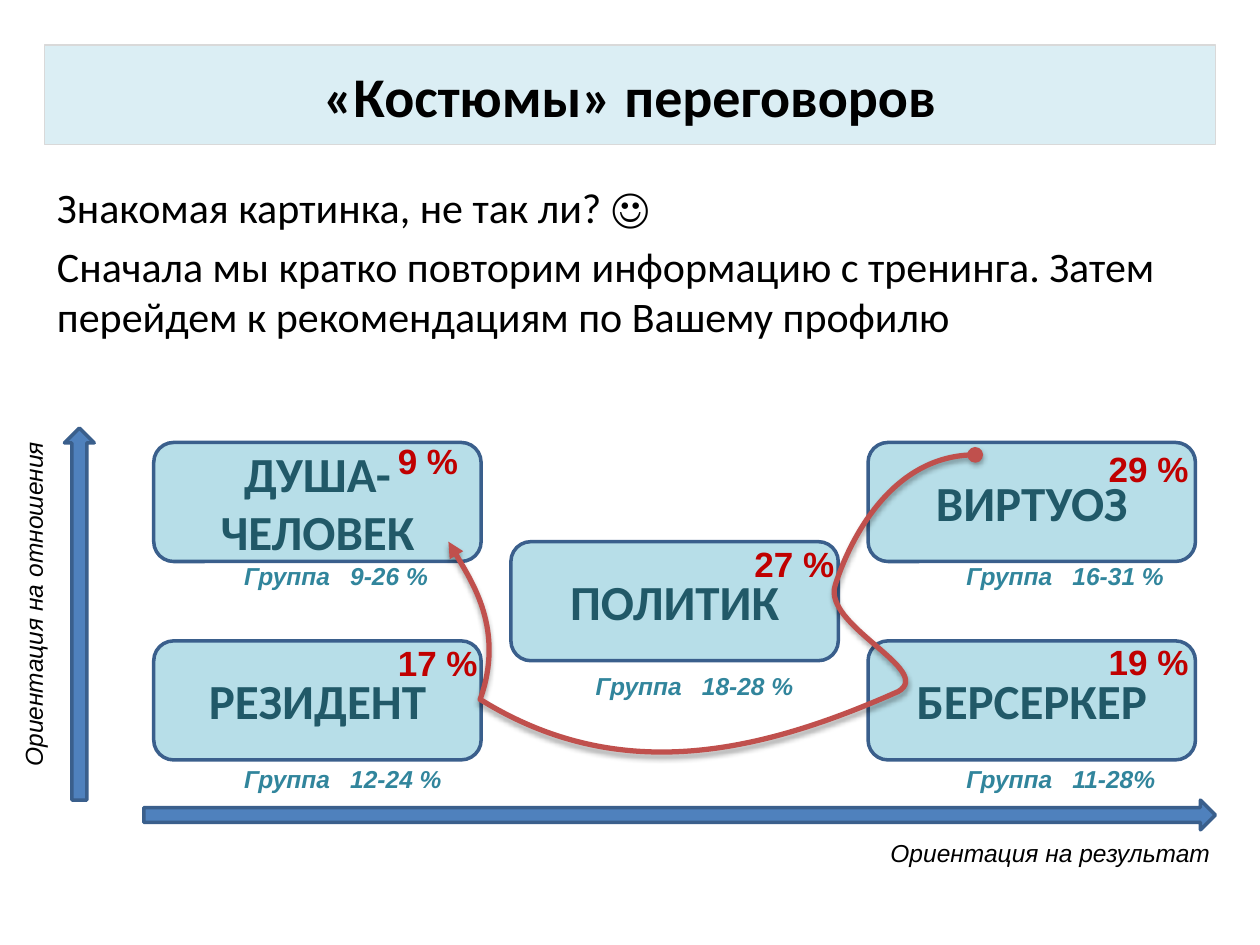
from lxml import etree
from pptx import Presentation
from pptx import util as u
from pptx.dml.color import RGBColor
from pptx.enum import shapes, text
from pptx.oxml import ns

BLACK = RGBColor(0x00, 0x00, 0x00)
PALE = RGBColor(0xDB, 0xEE, 0xF4)
GREY = RGBColor(0xD9, 0xD9, 0xD9)
LIGHT = RGBColor(0xB7, 0xDE, 0xE8)
BLUE = RGBColor(0x4F, 0x81, 0xBD)
OUTLINE = RGBColor(0x3A, 0x5F, 0x8C)
DEEP = RGBColor(0x21, 0x59, 0x68)
TEAL = RGBColor(0x31, 0x85, 0x9C)
CRIMSON = RGBColor(0xC0, 0x00, 0x00)
BRICK = RGBColor(0xC0, 0x50, 0x4D)


def add_xml(parent, tag, **attributes):
    return etree.SubElement(parent, ns.qn(tag), attributes)


class SlideBuilder:
    """Holds the fonts and the current page."""

    heading_font = "Calibri"
    label_font = "Arial"

    def __init__(self, page):
        self.page = page

    def style(self, para, font, size, color, bold=False, italic=False):
        para.font.name, para.font.size = font, u.Pt(size)
        para.font.color.rgb = color
        para.font.bold, para.font.italic = bold, italic

    def shape(self, kind, x, y, w, h, fill, line, weight):
        box = self.page.shapes.add_shape(kind, u.Cm(x), u.Cm(y), u.Cm(w), u.Cm(h))
        box.shadow.inherit = False
        box.fill.solid()
        box.fill.fore_color.rgb = fill
        box.line.color.rgb = line
        box.line.width = u.Pt(weight)
        return box

    def panel(self, kind, words, place, size, color, fill, line, weight):
        box = self.shape(kind, *place, fill, line, weight)
        box.text_frame.word_wrap = True
        box.text_frame.vertical_anchor = text.MSO_ANCHOR.MIDDLE
        para = box.text_frame.paragraphs[0]
        para.text = words
        para.alignment = text.PP_ALIGN.CENTER
        self.style(para, self.heading_font, size, color, bold=True)

    def body(self, lines, x, y, w, h, size):
        box = self.page.shapes.add_textbox(u.Cm(x), u.Cm(y), u.Cm(w), u.Cm(h))
        frame = box.text_frame
        frame.word_wrap = True
        frame.text = "\n".join(lines)
        for para in frame.paragraphs:
            para.space_before = u.Pt(size * 0.2)
            self.style(para, self.heading_font, size, BLACK)

    def label(self, words, x, y, w, h, size, color, bold=False, italic=False,
              rotation=0, tab=None):
        box = self.page.shapes.add_textbox(u.Cm(x), u.Cm(y), u.Cm(w), u.Cm(h))
        box.rotation = rotation
        frame = box.text_frame
        frame.word_wrap = False
        frame.auto_size = text.MSO_AUTO_SIZE.SHAPE_TO_FIT_TEXT
        para = frame.paragraphs[0]
        para.text = words
        self.style(para, self.label_font, size, color, bold, italic)
        if tab:
            stops = etree.Element(ns.qn("a:tabLst"))
            add_xml(stops, "a:tab", pos=str(u.Cm(tab)), algn="l")
            para.font  # paragraph properties exist from here on
            para._p.pPr.insert(0, stops)

    def curve(self, points, height, color, weight):
        """Draws joined cubic curves: a start, then three points for each."""
        corners = [(u.Cm(x), u.Cm(y)) for x, y in points]
        builder = self.page.shapes.build_freeform(*corners[0])
        builder.add_line_segments(corners[1:], close=False)
        line = builder.convert_to_shape()
        outline = line._element.find(".//" + ns.qn("a:path"))
        steps = outline.findall(ns.qn("a:lnTo"))
        for first in range(0, len(steps), 3):
            bend = add_xml(outline, "a:cubicBezTo")
            for step in steps[first:first + 3]:
                bend.append(step[0])
                outline.remove(step)
        # The curve is less tall than its control points
        line.height = u.Cm(height)
        outline.set("h", str(line.height))
        line.fill.background()
        line.line.color.rgb = color
        line.line.width = u.Pt(weight)
        stroke = line.line._get_or_add_ln()
        add_xml(stroke, "a:round")
        add_xml(stroke, "a:headEnd", type="oval")
        add_xml(stroke, "a:tailEnd", type="triangle")
        line.shadow.inherit = False
        effects = line._element.spPr.find(ns.qn("a:effectLst"))
        shadow = add_xml(effects, "a:outerShdw", blurRad=str(u.Pt(3.1)),
                         dist=str(u.Pt(1.8)), dir="5400000", rotWithShape="0")
        shade = add_xml(shadow, "a:srgbClr", val="000000")
        add_xml(shade, "a:alpha", val="35000")


def main():
    deck = Presentation()
    deck.slide_width, deck.slide_height = u.Cm(25.4), u.Cm(19.05)
    slide = SlideBuilder(deck.slides.add_slide(deck.slide_layouts[6]))
    kinds = shapes.MSO_SHAPE

    # Title and introduction
    slide.panel(kinds.RECTANGLE, "«Костюмы» переговоров", (0.9, 0.91, 23.6, 2),
                32, BLACK, PALE, GREY, 0.75)
    slide.body(["Знакомая картинка, не так ли? ☺",
                "Сначала мы кратко повторим информацию с тренинга. "
                "Затем перейдем к рекомендациям по Вашему профилю"],
               0.9, 3.53, 23.6, 4.19, 24)

    # Axes
    slide.shape(kinds.RIGHT_ARROW, 2.9, 16.13, 21.6, 0.6, BLUE, OUTLINE, 2)
    slide.shape(kinds.UP_ARROW, 1.3, 8.63, 0.6, 7.5, BLUE, OUTLINE, 2)
    slide.label("Ориентация на результат", 17.7, 16.76, 6.98, 0.86, 14, BLACK,
                italic=True)
    slide.label("Ориентация на отношения", -2.87, 11.73, 7.09, 0.86, 14, BLACK,
                italic=True, rotation=270)

    # Costumes: name, column, row, group range with label place and width,
    # share with label place and width
    costumes = [
        ("ВИРТУОЗ", 2, 0, "16-31 %", (19.23, 11.18, 4.52), "29 %", (22.1, 8.89, 2.13)),
        ("БЕРСЕРКЕР", 2, 2, "11-28%", (19.23, 15.27, 4.34), "19 %", (22.1, 12.78, 2.13)),
        ("ПОЛИТИК", 1, 1, "18-28 %", (11.76, 13.41, 4.52), "27 %", (14.96, 10.82, 2.13)),
        ("РЕЗИДЕНТ", 0, 2, "12-24 %", (4.67, 15.27, 4.52), "17 %", (7.77, 12.8, 2.13)),
        ("ДУША-ЧЕЛОВЕК", 0, 0, "9-26 %", (4.67, 11.18, 4.24), "9 %", (7.77, 8.74, 1.73)),
    ]
    for name, column, row, group, group_place, share, share_place in costumes:
        place = (3.1 + 7.2 * column, 8.92 + 2 * row, 6.6, 2.4)
        slide.panel(kinds.ROUNDED_RECTANGLE, name, place, 28, DEEP, LIGHT, OUTLINE, 2)
        slide.label(f"Группа\t{group}", *group_place, 0.86, 14, TEAL,
                    bold=True, italic=True, tab=2.14)
        slide.label(share, *share_place, 1.12, 20, CRIMSON, bold=True)

    # Path from the largest share to the smallest
    slide.curve([(19.66, 9.17),
                 (17.93, 9.17), (17.09, 11), (16.84, 11.79),
                 (16.56, 12.6), (18.85, 13.51), (18.11, 13.94),
                 (15.19, 15.24), (12.42, 15.8), (9.68, 14.1),
                 (10.19, 12.67), (9.12, 11.05), (9.04, 10.92)],
                5.99, BRICK, 3)

    deck.save("out.pptx")


if __name__ == "__main__":
    main()
